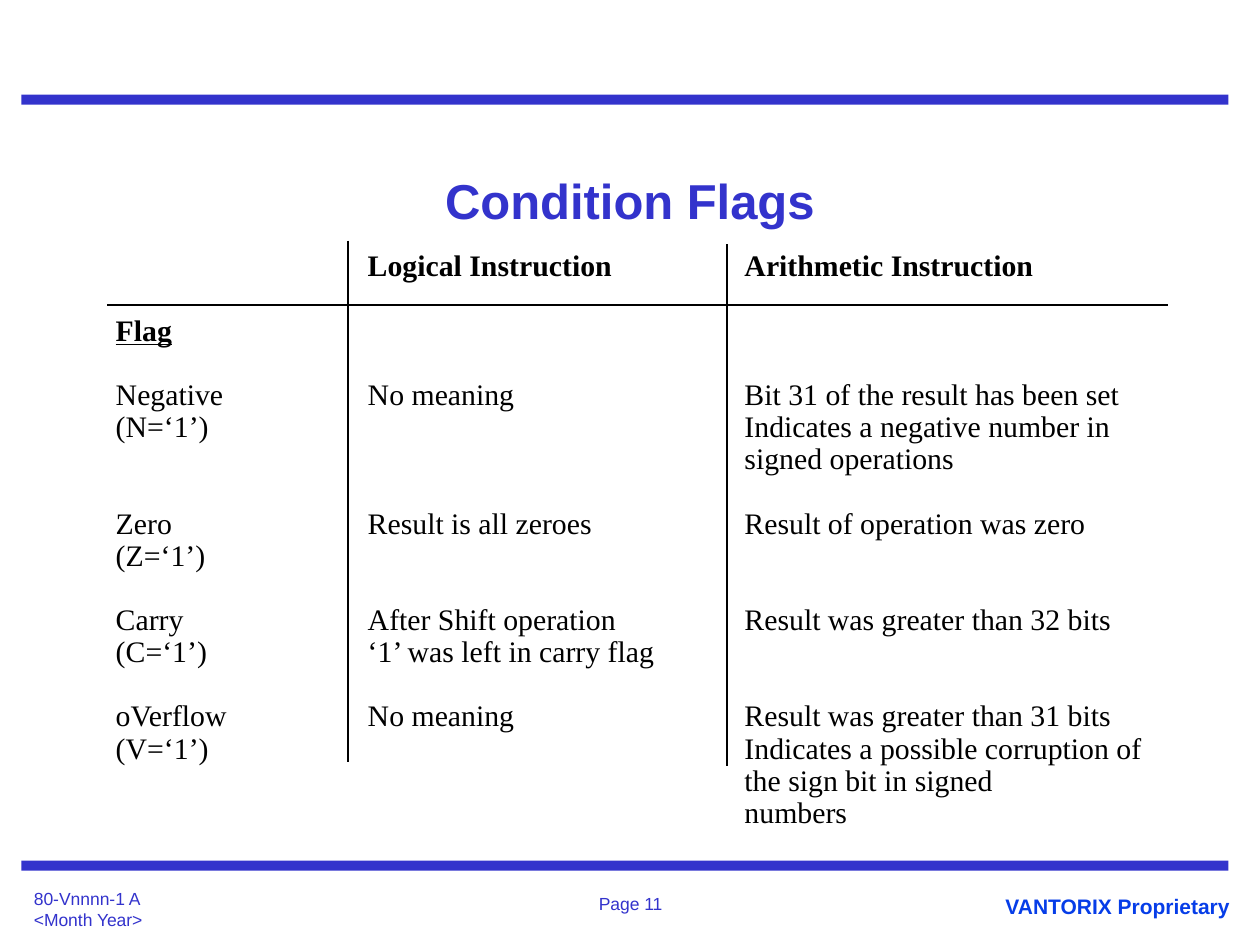
from dataclasses import dataclass
from lxml.etree import SubElement
from pptx import Presentation
from pptx.dml.color import RGBColor as Rgb
from pptx.enum.shapes import MSO_CONNECTOR as Link, MSO_SHAPE as Kind
from pptx.enum.text import MSO_ANCHOR as Anchor, PP_ALIGN as Align
from pptx.oxml.ns import qn
from pptx.util import Inches, Pt


@dataclass(frozen=True)
class Theme:
    blue: Rgb = Rgb(0x33, 0x33, 0xCC)
    mark: Rgb = Rgb(0x06, 0x3D, 0xE8)
    ink: Rgb = Rgb(0, 0, 0)
    sans: str = "Arial"
    serif: str = "Times New Roman"
    title: float = 28
    body: float = 17
    pitch: float = 18.36
    brand: float = 12
    foot: float = 10
    rule: float = 1


class Page:
    cols, rows = 100, 75

    def __init__(self, deck, theme):
        self.theme = theme
        self.wide = deck.slide_width / self.cols
        self.high = deck.slide_height / self.rows
        self.shapes = deck.slides.add_slide(deck.slide_layouts[6]).shapes

    def place(self, x, y, w, h):
        return [round(n * unit) for n, unit in
                zip((x, y, w, h), (self.wide, self.high) * 2)]

    def style(self, part, **look):
        color = look.pop("color")
        for name, value in look.items():
            setattr(part.font, name, value)
        part.font.color.rgb = color

    def bar(self, *box):
        bar = self.shapes.add_shape(Kind.RECTANGLE, *self.place(*box))
        bar.shadow.inherit = False
        bar.fill.solid()
        bar.fill.fore_color.rgb = self.theme.blue
        bar.line.fill.background()

    def line(self, *ends):
        line = self.shapes.add_connector(Link.STRAIGHT, *self.place(*ends))
        line.line.color.rgb = self.theme.ink
        line.line.width = Pt(self.theme.rule)
        SubElement(line._element.spPr, qn("a:effectLst"))

    def frame(self, box, anchor=Anchor.TOP, wrap=True):
        frame = self.shapes.add_textbox(*self.place(*box)).text_frame
        frame.word_wrap = wrap
        frame.vertical_anchor = anchor
        return frame

    def text(self, box, lines, size, align=Align.LEFT, anchor=Anchor.TOP,
             color=None, bold=False):
        frame = self.frame(box, anchor)
        frame.text = "\n".join(lines)
        for para in frame.paragraphs:
            para.alignment = align
            self.style(para, name=self.theme.sans, size=Pt(size), bold=bold,
                       color=color or self.theme.blue)

    def grid(self, box, stops, groups):
        frame = self.frame(box, wrap=False)
        pitch = Pt(self.theme.pitch)
        para = None
        for group, look in groups:
            for i, cells in enumerate(group):
                first = para is None
                para = frame.paragraphs[0] if first else frame.add_paragraph()
                tabs = SubElement(para._p.get_or_add_pPr(), qn("a:tabLst"))
                for stop in stops:
                    SubElement(tabs, qn("a:tab"), algn="l",
                               pos=str(round(stop * self.wide)))
                para.line_spacing = pitch
                para.space_before = pitch if i == 0 and not first else 0
                run = para.add_run()
                run.text = "\t".join(cells)
                self.style(run, name=self.theme.serif, color=self.theme.ink,
                           size=Pt(self.theme.body), **look)


FLAGS = [
    ([("", "Logical Instruction", "Arithmetic Instruction")], {"bold": True}),
    ([("Flag",)], {"bold": True, "underline": True}),
    ([("Negative", "No meaning", "Bit 31 of the result has been set"),
      ("(N=‘1’)", "", "Indicates a negative number in"),
      ("", "", "signed operations")], {}),
    ([("Zero", "Result is all zeroes", "Result of operation was zero"),
      ("(Z=‘1’)",)], {}),
    ([("Carry", "After Shift operation", "Result was greater than 32 bits"),
      ("(C=‘1’)", "‘1’ was left in carry flag")], {}),
    ([("oVerflow", "No meaning", "Result was greater than 31 bits"),
      ("(V=‘1’)", "", "Indicates a possible corruption of"),
      ("", "", "the sign bit in signed"),
      ("", "", "numbers")], {}),
]


def main():
    deck = Presentation()
    deck.slide_width, deck.slide_height = Inches(10), Inches(7.5)
    theme = Theme()
    page = Page(deck, theme)

    page.text((75.6, 70.4, 23, 3), ["VANTORIX Proprietary"], theme.brand,
              Align.RIGHT, color=theme.mark, bold=True)
    for y in (7.5, 68.3):
        page.bar(1.7, y, 95.8, 0.8)
    page.text((34.2, 70.4, 31.7, 3.1), ["Page 11"], theme.foot, Align.CENTER)
    page.text((1.7, 70, 20.8, 4.2), ["80-Vnnnn-1 A", "<Month Year>"],
              theme.foot)

    page.grid((8.2, 19.4, 83.5, 46.9), (20, 49.9), FLAGS)
    page.line(8.5, 24.2, 92.7, 24.2)
    for x, y in ((27.6, 19.1), (57.7, 19.4)):
        page.line(x, y, x, y + 41.4)
    page.text((7.5, 12.5, 85, 6.7), ["Condition Flags"], theme.title,
              Align.CENTER, Anchor.MIDDLE, bold=True)
    deck.save("out.pptx")


if __name__ == "__main__":
    main()
